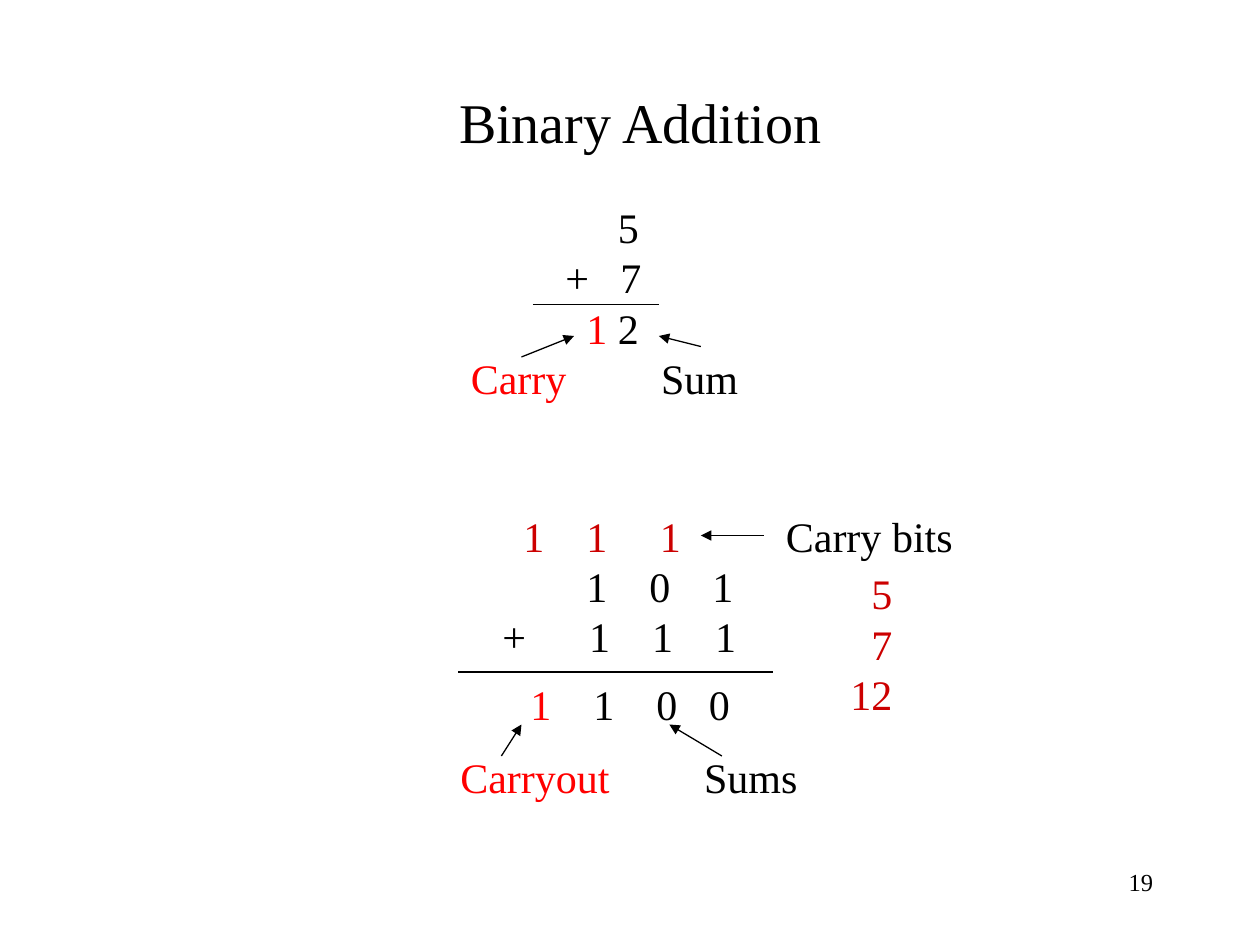
"""Build the Binary Addition slide with a decimal and a binary worked sum."""
import pptx
import pptx.dml.color
import pptx.enum.shapes
import pptx.enum.text
import pptx.oxml.ns
import pptx.util
import lxml.etree

Pt = pptx.util.Pt
qn = pptx.oxml.ns.qn
ALIGN = pptx.enum.text.PP_ALIGN
BLACK, RED, DARK_RED = "000000", "FF0000", "CC0000"


def color(hex_code):
    return pptx.dml.color.RGBColor.from_string(hex_code)


def write(paragraph, text, hex_code=BLACK, size=24):
    run = paragraph.add_run()
    run.text = text
    run.font.name = "Times New Roman"
    run.font.size = Pt(size)
    run.font.color.rgb = color(hex_code)


deck = pptx.Presentation()
deck.slide_width, deck.slide_height = Pt(720), Pt(540)
slide = deck.slides.add_slide(deck.slide_layouts[5])

title = slide.shapes.title
title.left, title.top, title.width, title.height = Pt(54), Pt(42), Pt(624), Pt(54)
title.text_frame.vertical_anchor = pptx.enum.text.MSO_ANCHOR.MIDDLE
heading = title.text_frame.paragraphs[0]
heading.alignment = ALIGN.CENTER
write(heading, "Binary Addition", size=32)

page_number = slide.shapes.add_textbox(Pt(516), Pt(492), Pt(150), Pt(36))
page_number.text_frame.word_wrap = True
page_line = page_number.text_frame.paragraphs[0]
page_line.alignment = ALIGN.RIGHT
write(page_line, "19", size=14)

workings = [
    ((244, 111.6, 252, 124), ALIGN.LEFT, [
        ([102], [("\t5", BLACK)]),
        ([72, 103.5], [("\t+\t7", BLACK)]),
        ([84], [("\t", BLACK), ("1", RED), (" 2", BLACK)]),
        ([18, 126.7], [("\t", BLACK), ("Carry", RED), ("\tSum", BLACK)]),
    ]),
    ((280, 288, 198, 93.6), ALIGN.LEFT, [
        ([12, 48, 90], [("\t1\t1\t1", DARK_RED)]),
        ([48, 84, 120], [("\t1\t0\t1", BLACK)]),
        ([49.5, 85.5, 121.5], [("+\t1\t1\t1", BLACK)]),
    ]),
    ((296, 384, 130, 36), ALIGN.LEFT, [
        ([36, 72, 102], [("1", RED), ("\t1\t0\t0", BLACK)]),
    ]),
    ((256, 426, 222, 36), ALIGN.LEFT, [
        ([139.3], [("Carryout", RED), ("\tSums", BLACK)]),
    ]),
    ((442, 288, 112, 36), ALIGN.LEFT, [([], [("Carry bits", BLACK)])]),
    ((477, 321, 40, 94), ALIGN.RIGHT, [
        ([], [(value, DARK_RED)]) for value in ("5", "7", "12")
    ]),
]
for bounds, alignment, rows in workings:
    working = slide.shapes.add_textbox(*map(Pt, bounds)).text_frame
    working.word_wrap = True
    for index, (stops, pieces) in enumerate(rows):
        row = working.add_paragraph() if index else working.paragraphs[0]
        row.alignment = alignment
        row.line_spacing = Pt(28.8)
        if stops:
            tabs = lxml.etree.SubElement(row._p.get_or_add_pPr(), qn("a:tabLst"))
            for stop in stops:
                lxml.etree.SubElement(tabs, qn("a:tab"), pos=str(Pt(stop)), algn="l")
        for text, hex_code in pieces:
            write(row, text, hex_code)

strokes = [
    (304.5, 174, 376.5, 174, False),
    (298, 204, 328, 192, True),
    (400.5, 198, 376.5, 192, True),
    (262, 384, 442, 384, False),
    (412.5, 432, 382.5, 414, True),
    (436.5, 306, 400.5, 306, True),
    (286.5, 432, 298, 414, True),
]
for *ends, has_head in strokes:
    stroke = slide.shapes.add_connector(
        pptx.enum.shapes.MSO_CONNECTOR.STRAIGHT, *map(Pt, ends))
    stroke.line.color.rgb = color(BLACK)
    stroke.line.width = Pt(0.75)
    if has_head:
        lxml.etree.SubElement(stroke.line._get_or_add_ln(), qn("a:tailEnd"), type="triangle")
    lxml.etree.SubElement(stroke._element.spPr, qn("a:effectLst"))

deck.save("out.pptx")
